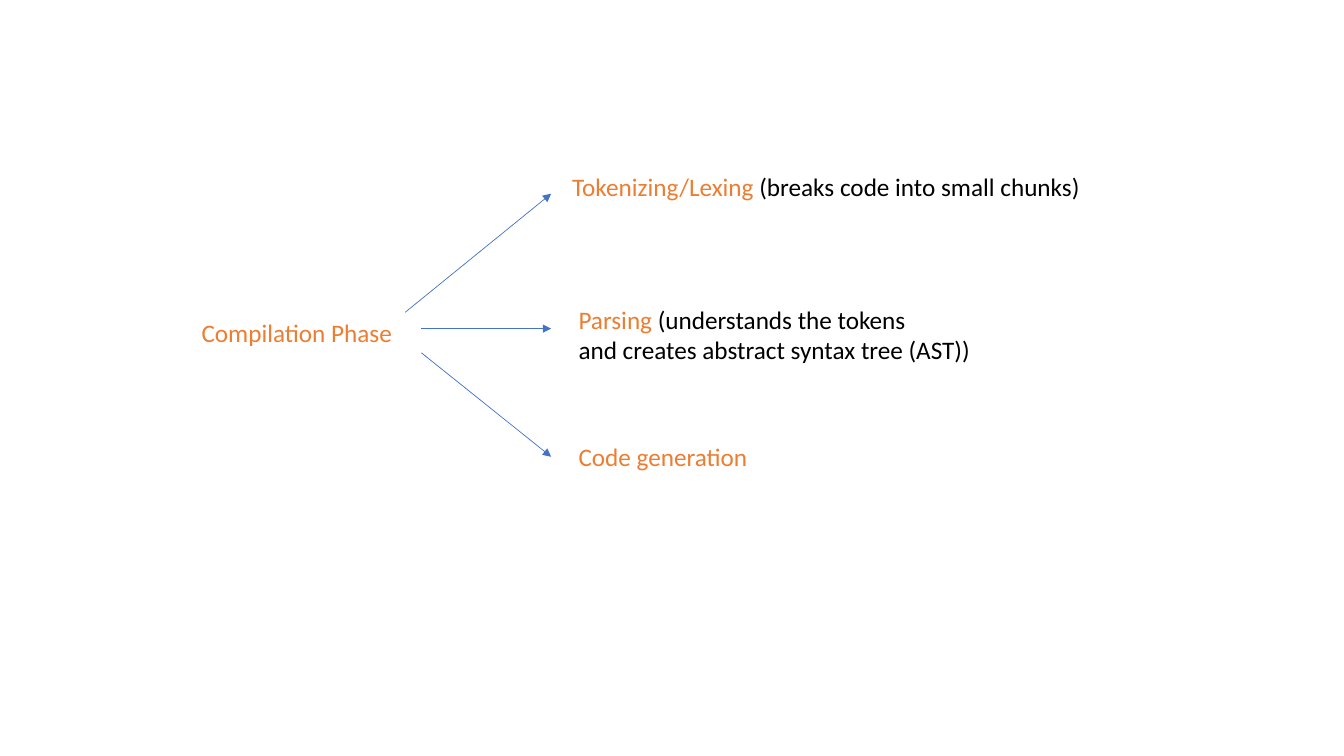
"""Build a slide that splits the compilation phase into its three steps."""
import pptx
import pptx.dml.color
import pptx.enum.shapes
import pptx.oxml.ns
import pptx.util
from lxml import etree
from pptx.util import Cm

ORANGE, BLACK, BLUE = "ED7D31", "000000", "4472C4"

LABELS = [
    (4.83, 7.87, 5.36, [[("Compilation Phase", ORANGE)]]),
    (14.17, 4.19, 13.46, [[("Tokenizing/Lexing ", ORANGE),
                           ("(breaks code into small chunks)", BLACK)]]),
    (14.33, 7.54, 10.49, [[("Parsing ", ORANGE),
                           ("(understands the tokens", BLACK)],
                          [("and creates abstract syntax tree (AST))", BLACK)]]),
    (14.33, 11.0, 4.83, [[("Code generation", ORANGE)]]),
]
ARROW_END_X = 13.89
ARROWS = [(10.21, 7.87, 4.88), (10.62, 8.28, 8.28), (10.62, 8.89, 11.51)]
LINE_H, PADDING = 0.77, 0.25


def rgb(value):
    return pptx.dml.color.RGBColor.from_string(value)


def add_label(s, x, y, w, lines):
    h = PADDING + LINE_H * len(lines)
    tf = s.shapes.add_textbox(Cm(x), Cm(y), Cm(w), Cm(h)).text_frame
    tf.word_wrap = False
    for i, runs in enumerate(lines):
        p = tf.add_paragraph() if i else tf.paragraphs[0]
        p.font.name = "Calibri"
        p.font.size = pptx.util.Pt(18)
        for text, color in runs:
            r = p.add_run()
            r.text = text
            r.font.color.rgb = rgb(color)


def add_arrow(s, x, y, end_y):
    line = s.shapes.add_connector(pptx.enum.shapes.MSO_CONNECTOR.STRAIGHT,
                                  Cm(x), Cm(y), Cm(ARROW_END_X), Cm(end_y))
    line.line.color.rgb = rgb(BLUE)
    line.line.width = pptx.util.Pt(0.5)
    qn = pptx.oxml.ns.qn
    sp_pr = line._element.spPr
    etree.SubElement(sp_pr.find(qn("a:ln")), qn("a:tailEnd"), type="triangle")
    etree.SubElement(sp_pr, qn("a:effectLst"))


def main():
    prs = pptx.Presentation()
    prs.slide_width, prs.slide_height = Cm(33.87), Cm(19.05)
    s = prs.slides.add_slide(prs.slide_layouts[6])
    for label in LABELS:
        add_label(s, *label)
    for arrow in ARROWS:
        add_arrow(s, *arrow)
    prs.save("out.pptx")


if __name__ == "__main__":
    main()
